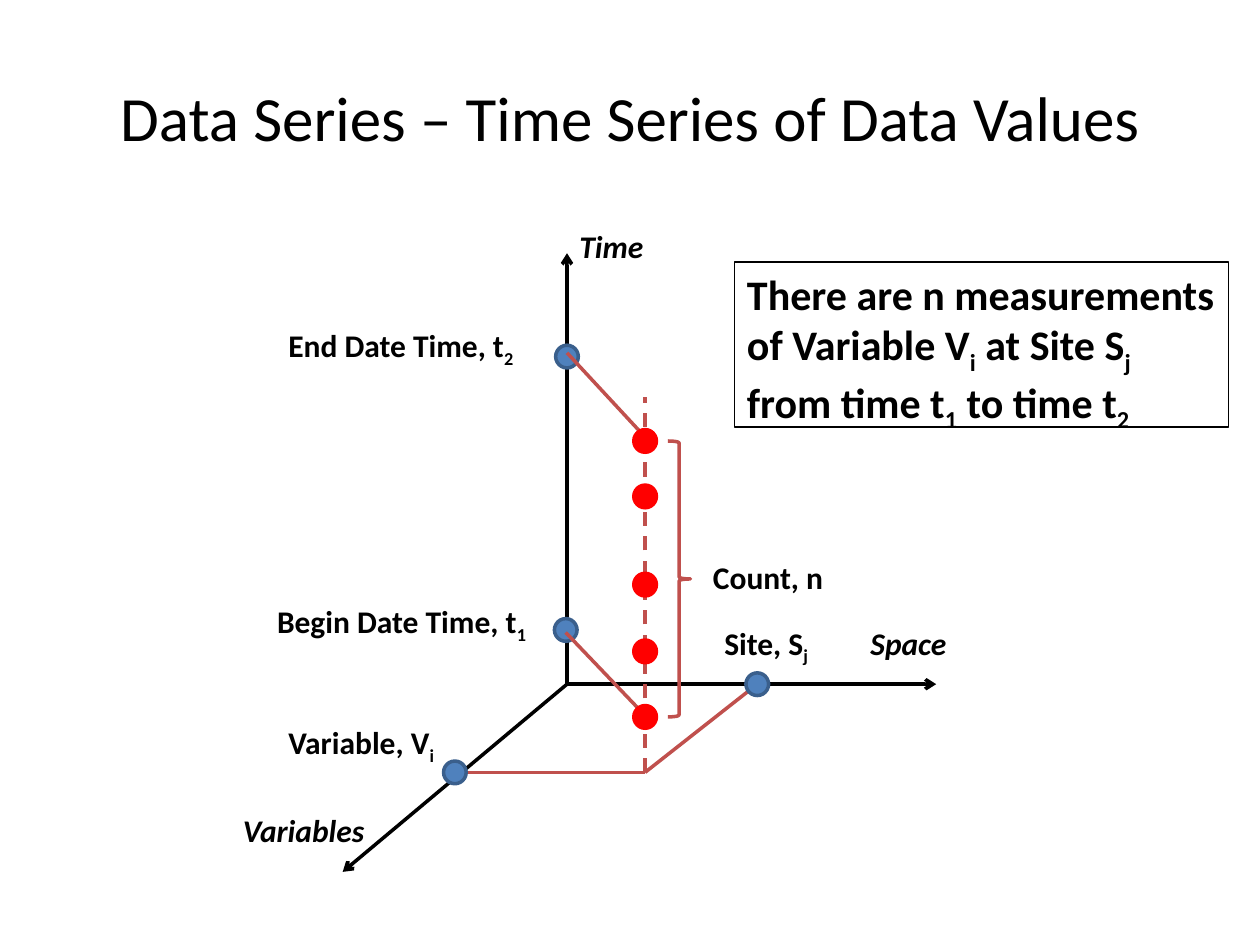
from pptx import Presentation
from pptx.dml.color import RGBColor
from pptx.enum.dml import MSO_LINE
from pptx.enum.shapes import MSO_CONNECTOR, MSO_SHAPE
from pptx.enum.text import MSO_ANCHOR, MSO_AUTO_SIZE as FIT, PP_ALIGN
from pptx.oxml.ns import qn
from pptx.util import Inches, Pt
from lxml.etree import SubElement

# Content: parts between bars alternate between normal text and subscript
TITLE = "Data Series – Time Series of Data Values"
NOTE = "There are n measurements of Variable V|i| at Site S|j| from time t|1| to time t|2"
AXIS_NAMES = [  # text, left, top, width
    ("Time", 4.5, 1.75, 0.76),
    ("Space", 6.81, 4.9, 0.86),
    ("Variables", 1.83, 6.39, 1.22),
]
LABELS = [
    ("Variable, V|i", 2.19, 5.69, 1.45),
    ("Site, S|j", 5.65, 4.9, 0.94),
    ("End Date Time, t|2", 2.19, 2.54, 2.16),
    ("Begin Date Time, t|1", 2.1, 4.73, 2.42),
    ("Count, n", 5.56, 4.38, 1.08),
]
BLACK, RUST, BLUE, NAVY, RED = "000000", "C0504D", "4F81BD", "3A5F8C", "FF0000"

# Geometry: points of the diagram
ORIGIN = (4.5, 5.43)
AXIS_ENDS = [(4.5, 2.01), (2.72, 6.92), (7.43, 5.43)]
SITE, VARIABLE, CORNER = (6.01, 5.43), (3.61, 6.13), (5.12, 6.13)
SERIES_TOP = (5.12, 3.15)
TIME_LINKS = [((5.13, 5.69), (4.49, 5.02)), ((5.13, 3.48), (4.5, 2.8))]
TIME_MARKS = [(4.49, 5.0), (4.5, 2.83)]
VALUE_HEIGHTS = [3.5, 3.94, 4.64, 5.17, 5.69]
DOT = 0.18

prs = Presentation()
prs.slide_width, prs.slide_height = Inches(10), Inches(7.5)
s = prs.slides.add_slide(prs.slide_layouts[5])


def rgb(color):
    return RGBColor.from_string(color)


def box(*lengths):
    return [Inches(v) for v in lengths]


def write(tf, text, size, **style):
    p = tf.paragraphs[0]
    for i, part in enumerate(text.split("|")):
        r = p.add_run()
        r.text = part
        fmt = {"name": "Calibri", "size": Pt(size), **style}
        for key, value in fmt.items():
            setattr(r.font, key, value)
        r.font.color.rgb = rgb(BLACK)
        if i % 2:
            r._r.get_or_add_rPr().set("baseline", "-25000")
    return p


def line(start, end, color, arrow=False, dash=None):
    c = s.shapes.add_connector(MSO_CONNECTOR.STRAIGHT, *box(*start, *end))
    c.line.color.rgb, c.line.width = rgb(color), Pt(2)
    if dash:
        c.line.dash_style = dash
    if arrow:
        SubElement(c.line._get_or_add_ln(), qn("a:tailEnd"), type="arrow")
    SubElement(c._element.spPr, qn("a:effectLst"))


def shape(kind, left, top, width, height, color, fill=None):
    sp = s.shapes.add_shape(kind, *box(left, top, width, height))
    sp.shadow.inherit = False
    sp.line.color.rgb, sp.line.width = rgb(color), Pt(2)
    if fill:
        sp.fill.solid()
        sp.fill.fore_color.rgb = rgb(fill)
    else:
        sp.fill.background()


def dot(center, color, fill):
    x, y = center
    shape(MSO_SHAPE.OVAL, x - DOT / 2, y - DOT / 2, DOT, DOT, color, fill)


def label(text, left, top, width, italic=None):
    tf = s.shapes.add_textbox(*box(left, top, width, 0.42)).text_frame
    tf.word_wrap, tf.auto_size = False, FIT.SHAPE_TO_FIT_TEXT
    write(tf, text, 18, bold=True, italic=italic)


# Title
title = s.shapes.title
title.left, title.top, title.width, title.height = box(0.5, 0.3, 9, 1.25)
title.text_frame.vertical_anchor = MSO_ANCHOR.MIDDLE
write(title.text_frame, TITLE, 36).alignment = PP_ALIGN.CENTER

# Axes and the lines that locate the series
for end in AXIS_ENDS:
    line(ORIGIN, end, BLACK, arrow=True)
line(CORNER, SERIES_TOP, RUST, dash=MSO_LINE.DASH)
line(VARIABLE, CORNER, RUST)
line(CORNER, SITE, RUST)

# Marks on the axes, links to the time axis, data values
for center in [SITE, VARIABLE, *TIME_MARKS]:
    dot(center, NAVY, BLUE)
for start, end in TIME_LINKS:
    line(start, end, RUST)
for y in VALUE_HEIGHTS:
    dot((CORNER[0], y), RED, RED)
shape(MSO_SHAPE.RIGHT_BRACE, 5.3, VALUE_HEIGHTS[0], DOT,
      VALUE_HEIGHTS[-1] - VALUE_HEIGHTS[0], RUST)

# Labels
for item in AXIS_NAMES:
    label(*item, italic=True)
for item in LABELS:
    label(*item)

# Framed note
note = s.shapes.add_textbox(*box(5.83, 2.08, 3.92, 1.31))
note.line.color.rgb, note.line.width = rgb(BLACK), Pt(1)
note.text_frame.word_wrap, note.text_frame.auto_size = True, FIT.NONE
write(note.text_frame, NOTE, 24, bold=True)

prs.save("out.pptx")
